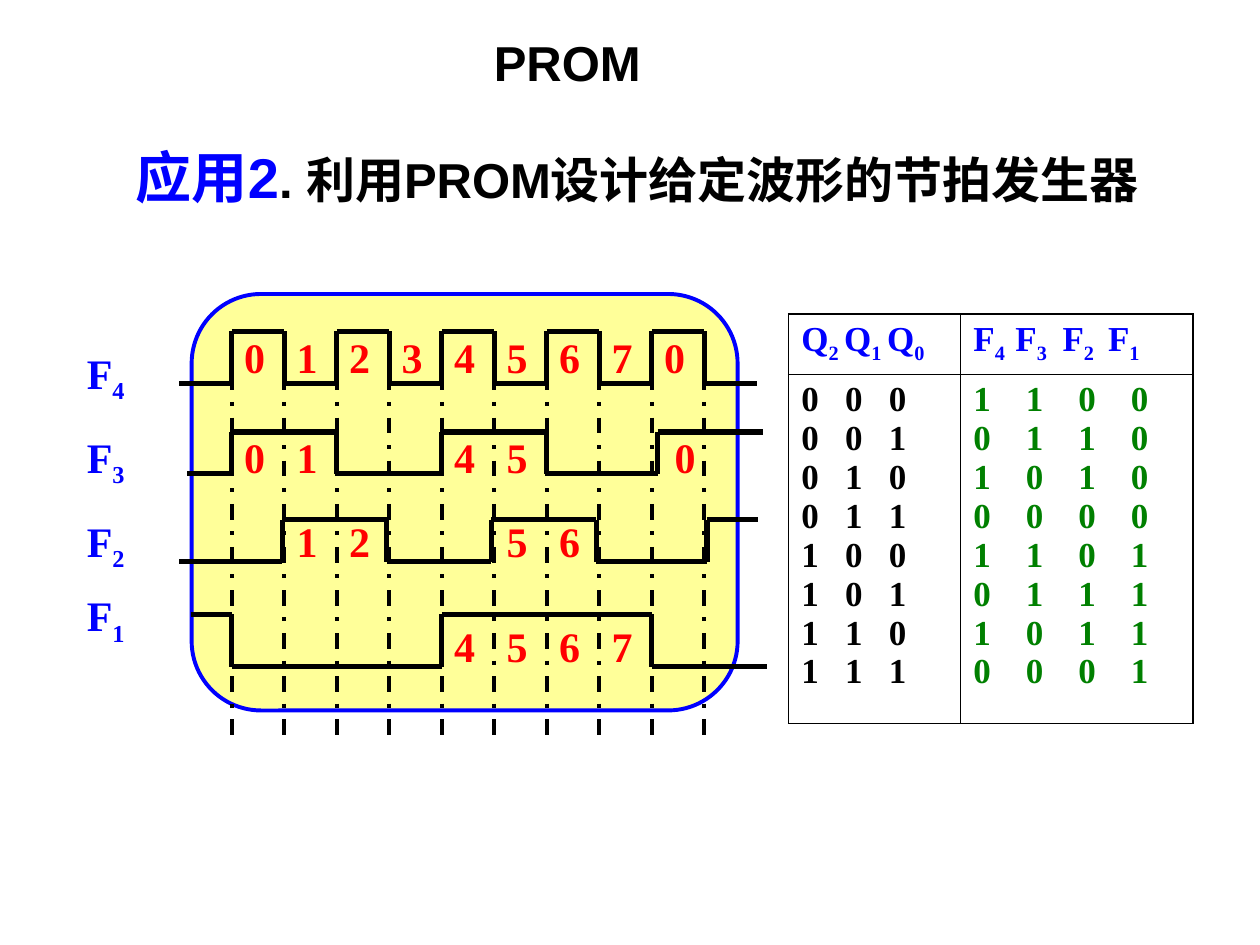
from lxml.etree import SubElement
from pptx import Presentation
from pptx.dml.color import RGBColor
from pptx.enum.dml import MSO_LINE
from pptx.enum.shapes import MSO_CONNECTOR, MSO_SHAPE
from pptx.enum.text import MSO_ANCHOR, MSO_AUTO_SIZE, PP_ALIGN
from pptx.oxml.ns import qn
from pptx.util import Pt

COLORS = {"ink": "000000", "blue": "0000FF", "panel": "FFFF99",
          "red": "FF0000", "green": "008000"}
SANS, SERIF = "Arial", "Times New Roman"
GRID_LEFT, SLOT = 132.5, 30  # first clock edge and clock half-period


def color(name):
    return RGBColor.from_string(COLORS[name])


def slot_x(slot):
    return GRID_LEFT + SLOT * slot


def add_tabs(paragraph, stops):
    tab_list = SubElement(paragraph._p.get_or_add_pPr(), qn("a:tabLst"))
    for stop in stops:
        SubElement(tab_list, qn("a:tab"), pos=str(Pt(stop)), algn="l")


def style_font(font, size, name, ink):
    font.size, font.name, font.bold = Pt(size), name, True
    font.color.rgb = color(ink)


def add_subscripted(paragraph, text):
    """Write text with every digit lowered as a subscript."""
    for character in text:
        run = paragraph.add_run()
        run.text = character
        if character.isdigit():
            run.font._element.set("baseline", "-25000")


class SlideBuilder:
    def __init__(self, slide):
        self.slide = slide
        self.shapes = slide.shapes

    def title(self, text, left, top, width, height):
        title = self.shapes.title
        title.left, title.top, title.width, title.height = map(
            Pt, (left, top, width, height))
        frame = title.text_frame
        frame.text = text
        frame.auto_size = MSO_AUTO_SIZE.NONE
        frame.vertical_anchor = MSO_ANCHOR.TOP
        frame.paragraphs[0].alignment = PP_ALIGN.LEFT
        style_font(frame.paragraphs[0].font, 28, SANS, "ink")

    def text_box(self, left, top, width, height):
        """Add an empty wrapping box and return its first paragraph."""
        frame = self.shapes.add_textbox(
            Pt(left), Pt(top), Pt(width), Pt(height)).text_frame
        frame.word_wrap = True
        return frame.paragraphs[0]

    def heading(self, parts, left, top, width, height):
        paragraph = self.text_box(left, top, width, height)
        for text, size, ink in parts:
            run = paragraph.add_run()
            run.text = text
            style_font(run.font, size, SANS, ink)

    def signal_label(self, text, top):
        paragraph = self.text_box(42.5, top, 60, 36)
        style_font(paragraph.font, 24, SERIF, "blue")
        add_subscripted(paragraph, text)

    def slot_digits(self, digits, top):
        """Place (slot, digit) pairs along the clock grid with tab stops."""
        paragraph = self.text_box(GRID_LEFT, top, 282, 36)
        add_tabs(paragraph, [SLOT * slot for slot, _ in digits if slot])
        style_font(paragraph.font, 24, SERIF, "red")
        lead = "\t" if digits[0][0] else ""
        paragraph.add_run().text = lead + "\t".join(d for _, d in digits)

    def panel(self, left, top, width, height):
        panel = self.shapes.add_shape(MSO_SHAPE.ROUNDED_RECTANGLE, Pt(left),
                                      Pt(top), Pt(width), Pt(height))
        panel.shadow.inherit = False
        panel.fill.solid()
        panel.fill.fore_color.rgb = color("panel")
        panel.line.color.rgb = color("blue")
        panel.line.width = Pt(2.25)

    def line(self, start, end, width=3, dash=None):
        connector = self.shapes.add_connector(
            MSO_CONNECTOR.STRAIGHT, *map(Pt, (*start, *end)))
        connector.line.color.rgb = color("ink")
        connector.line.width = Pt(width)
        if dash:
            connector.line.dash_style = dash
        SubElement(connector._element.spPr, qn("a:effectLst"))

    def waveform(self, start, edges, end, high, low, starts_high=False):
        """Draw a square wave that changes level at each edge slot."""
        level, other = (high, low) if starts_high else (low, high)
        points = [(start, level)]
        for edge in edges:
            points += [(slot_x(edge), level), (slot_x(edge), other)]
            level, other = other, level
        points.append((end, level))
        for begin, finish in zip(points, points[1:]):
            self.line(begin, finish)

    def truth_table(self, left, top, widths, heights):
        table = self.shapes.add_table(
            len(heights), len(widths), Pt(left), Pt(top),
            Pt(sum(widths)), Pt(sum(heights))).table
        table.first_row = table.horz_banding = False
        for column, width in zip(table.columns, widths):
            column.width = Pt(width)
        for row, height in zip(table.rows, heights):
            row.height = Pt(height)
        for cell in table.iter_cells():
            properties = cell._tc.get_or_add_tcPr()
            for side in ("lnL", "lnR", "lnT", "lnB"):
                border = SubElement(properties, qn(f"a:{side}"), w=str(Pt(1)))
                fill = SubElement(border, qn("a:solidFill"))
                SubElement(fill, qn("a:srgbClr"), val=COLORS["ink"])
            cell.fill.background()
        return table

    def header_cell(self, cell, names, stops):
        paragraph = cell.text_frame.paragraphs[0]
        add_tabs(paragraph, stops)
        style_font(paragraph.font, 20, SERIF, "blue")
        add_subscripted(paragraph, "\t".join(names))

    def bits_cell(self, cell, rows, step, ink):
        cell.text_frame.text = "\n".join("\t".join(bits) for bits in rows)
        for paragraph in cell.text_frame.paragraphs:
            add_tabs(paragraph, [step * i for i in range(1, len(rows[0]))])
            style_font(paragraph.font, 20, SERIF, ink)


def main():
    presentation = Presentation()
    presentation.slide_width, presentation.slide_height = Pt(720), Pt(540)
    builder = SlideBuilder(
        presentation.slides.add_slide(presentation.slide_layouts[5]))

    builder.title("PROM", 275, 15, 119, 41)
    builder.panel(109.5, 168, 312, 238)
    builder.heading([("应用2", 32, "blue"),
                     (". 利用PROM设计给定波形的节拍发生器", 28, "ink")],
                    70.5, 78, 607, 46)

    builder.waveform(102.5, range(10), 432.5, 189.4, 219)
    builder.waveform(107, [0, 2, 4, 6, 8.11], 436, 246.8, 270.7)
    builder.waveform(102.5, [0.96, 2.95, 4.94, 6.94, 9.05], 433, 297, 321)
    builder.waveform(109, [0, 4, 8], 438.5, 351, 381, starts_high=True)
    for edge in range(10):
        builder.line((slot_x(edge), 189.4), (slot_x(edge), 423.4),
                     2.25, MSO_LINE.DASH_DOT)

    for name, top in (("F4", 195), ("F3", 243), ("F2", 291), ("F1", 333.5)):
        builder.signal_label(name, top)

    builder.slot_digits(list(enumerate("012345670")), 186)
    builder.slot_digits([(0, "0"), (1, "1"), (4, "4"), (5, "5"), (8.2, "0")],
                        243)
    builder.slot_digits([(slot, str(slot)) for slot in (1, 2, 5, 6)], 291)
    builder.slot_digits([(slot, str(slot)) for slot in (4, 5, 6, 7)], 351)

    table = builder.truth_table(450.7, 179.4, (98.3, 132.8), (34.5, 199.4))
    builder.header_cell(table.cell(0, 0), ("Q2", "Q1", "Q0"), (24.5, 49))
    builder.header_cell(table.cell(0, 1), ("F4", "F3", "F2", "F1"),
                        (24, 51, 77))
    states = [f"{state:03b}" for state in range(8)]
    outputs = ["1100", "0110", "1010", "0000", "1101", "0111", "1011", "0001"]
    builder.bits_cell(table.cell(1, 0), states, 25, "ink")
    builder.bits_cell(table.cell(1, 1), outputs, 30, "green")

    presentation.save("out.pptx")


if __name__ == "__main__":
    main()
